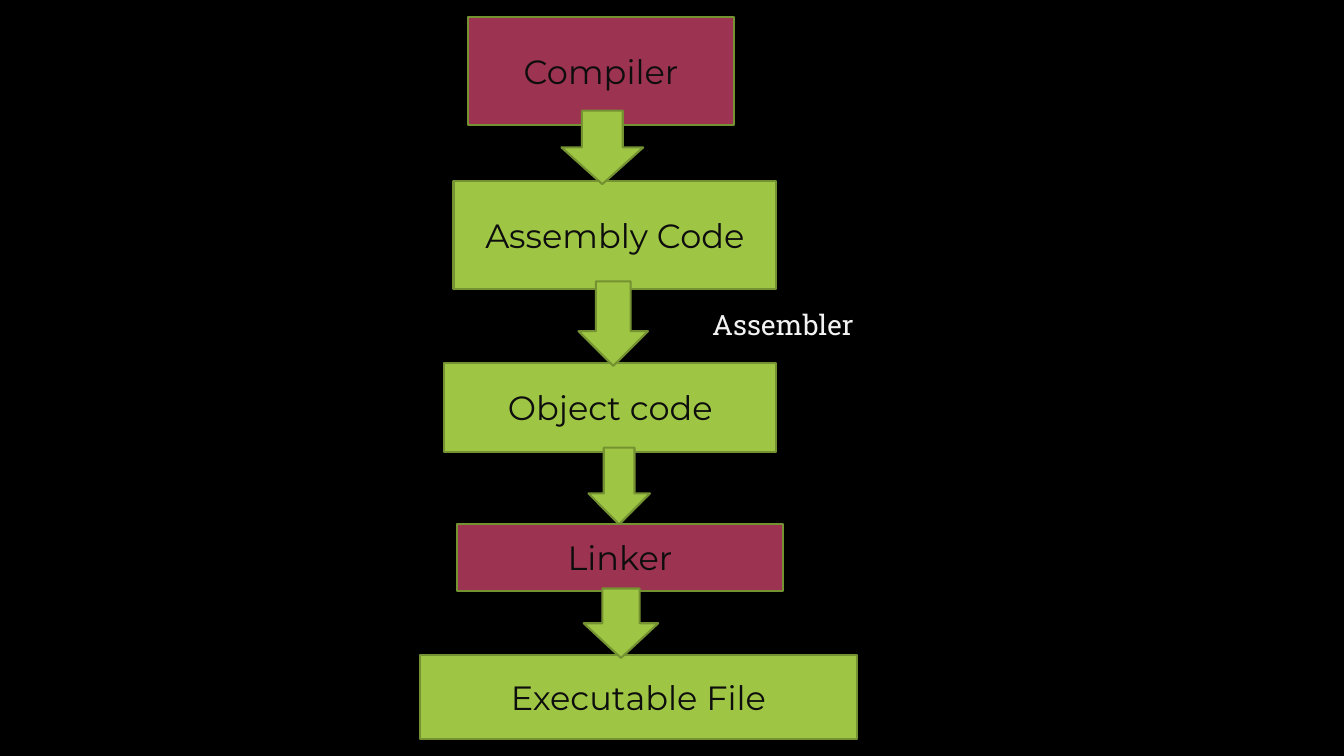
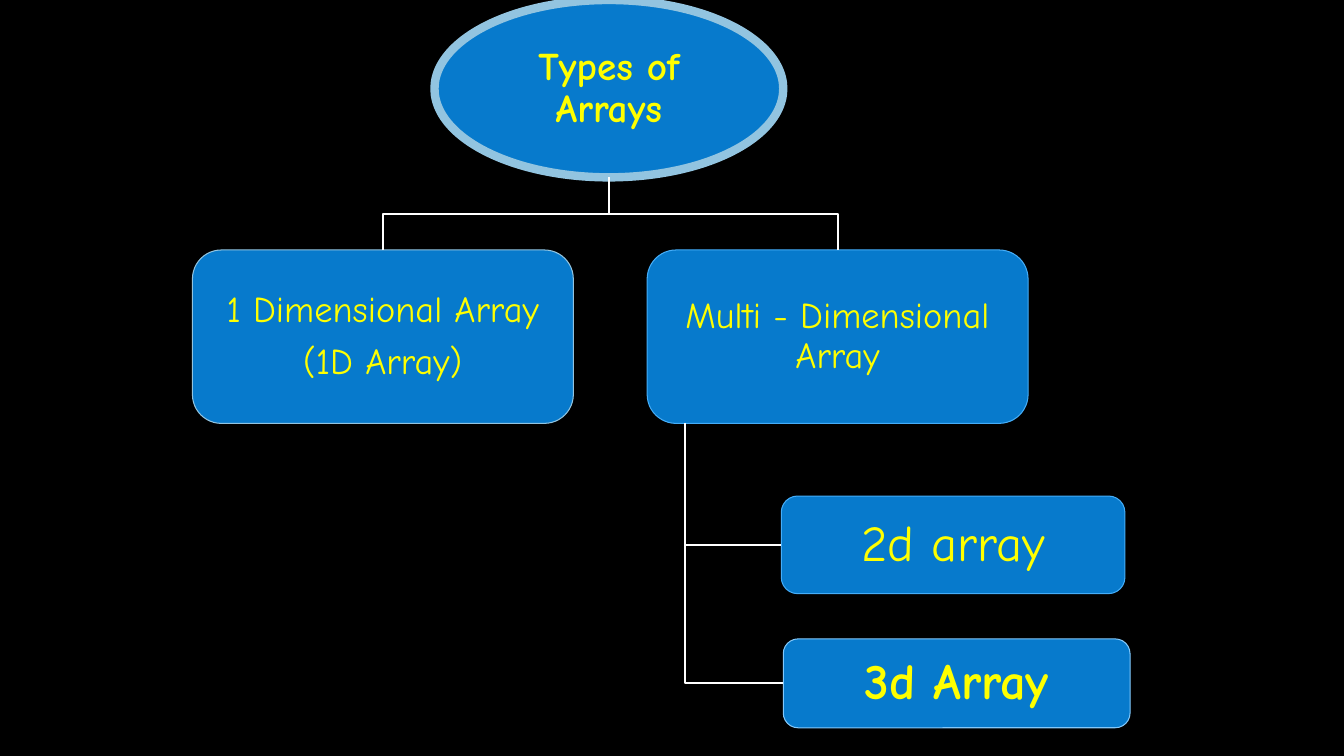
from pptx import Presentation
from pptx.dml.color import RGBColor
from pptx.enum import shapes, text
from pptx.util import Cm, Pt

BLACK = RGBColor(0x00, 0x00, 0x00)
WHITE = RGBColor(0xFF, 0xFF, 0xFF)
INK = RGBColor(0x0D, 0x0D, 0x0D)
PALE = RGBColor(0xF2, 0xF2, 0xF2)
GREEN = RGBColor(0x9E, 0xC5, 0x44)
DARK_GREEN = RGBColor(0x75, 0x92, 0x32)
CRIMSON = RGBColor(0x9C, 0x33, 0x51)
BLUE = RGBColor(0x07, 0x7A, 0xCC)
MIST = RGBColor(0x92, 0xC4, 0xE0)
AZURE = RGBColor(0x45, 0xAD, 0xF8)
SKY = RGBColor(0x82, 0xC8, 0xFB)
YELLOW = RGBColor(0xFF, 0xFF, 0x00)

KINDS = shapes.MSO_SHAPE


def add_box(page, kind, frame, fill, edge, edge_width):
    """Add a flat, outlined shape; frame is left, top, width, height in cm."""
    box = page.shapes.add_shape(kind, *map(Cm, frame))
    box.shadow.inherit = False
    box.fill.solid()
    box.fill.fore_color.rgb = fill
    box.line.color.rgb = edge
    box.line.width = Pt(edge_width)
    return box


def write_centred(box, words, font_name, size, colour, bold=False):
    """Fill the box with centred text, one paragraph for each line of words."""
    frame = box.text_frame
    frame.word_wrap = True
    frame.vertical_anchor = text.MSO_ANCHOR.MIDDLE
    frame.text = words
    for para in frame.paragraphs:
        para.alignment = text.PP_ALIGN.CENTER
        para.font.name = font_name
        para.font.size = Pt(size)
        para.font.bold = bold
        para.font.color.rgb = colour


deck = Presentation()
deck.slide_width, deck.slide_height = Cm(33.87), Cm(19.05)
pages = [deck.slides.add_slide(deck.slide_layouts[6]) for _ in range(2)]
for page in pages:
    page.background.fill.solid()
    page.background.fill.fore_color.rgb = BLACK
build_page, arrays_page = pages

# From compiler to executable file
stages = [
    ("Compiler", (11.79, 0.43, 6.71, 2.72), CRIMSON),
    ("Assembly Code", (11.43, 4.57, 8.13, 2.72), GREEN),
    ("Object code", (11.2, 9.14, 8.36, 2.26), GREEN),
    ("Linker", (11.51, 13.21, 8.23, 1.68), CRIMSON),
    ("Executable File", (10.59, 16.51, 11, 2.11), GREEN),
]
for words, frame, fill in stages:
    box = add_box(build_page, KINDS.RECTANGLE, frame, fill, DARK_GREEN, 1.5)
    write_centred(box, words, "Montserrat", 24, INK)

arrow_frames = [
    (14.15, 2.79, 2.06, 1.85),
    (14.58, 7.09, 1.75, 2.13),
    (14.83, 11.28, 1.55, 1.93),
    (14.71, 14.83, 1.88, 1.75),
]
for frame in arrow_frames:
    add_box(build_page, KINDS.DOWN_ARROW, frame, GREEN, DARK_GREEN, 1.5)

label = build_page.shapes.add_textbox(Cm(17.7), Cm(7.62), Cm(4.17), Cm(1.12))
label.text_frame.word_wrap = True
para = label.text_frame.paragraphs[0]
para.text = "Assembler"
para.font.name = "Roboto Slab"
para.font.size = Pt(20)
para.font.color.rgb = PALE

# Tree of array types
nodes = [
    ("Types of Arrays", KINDS.OVAL, (10.95, 0, 8.79, 4.47), MIST, 6, 28, True),
    ("1 Dimensional Array\n(1D Array)", KINDS.ROUNDED_RECTANGLE,
     (4.85, 6.3, 9.6, 4.37), MIST, 0.75, 26, False),
    ("Multi - Dimensional Array", KINDS.ROUNDED_RECTANGLE,
     (16.31, 6.3, 9.6, 4.37), AZURE, 0.75, 26, False),
    ("2d array", KINDS.ROUNDED_RECTANGLE,
     (19.69, 12.5, 8.66, 2.46), AZURE, 0.75, 36, False),
    ("3d Array", KINDS.ROUNDED_RECTANGLE,
     (19.74, 16.1, 8.74, 2.24), SKY, 0.75, 36, True),
]
boxes = []
for words, kind, frame, edge, edge_width, size, bold in nodes:
    box = add_box(arrays_page, kind, frame, BLUE, edge, edge_width)
    write_centred(box, words, "Comic Neue", size, YELLOW, bold)
    body = box.text_frame
    body.margin_left = body.margin_right = Cm(0.06)
    body.margin_top = body.margin_bottom = Cm(0.06)
    for para in body.paragraphs:
        para.line_spacing = 0.9
    for para in body.paragraphs[:-1]:
        para.space_after = Pt(0.35 * size)
    boxes.append(box)
root, single, multi, *leaves = boxes

# Branches fork halfway below the root; leaves hang from a trunk
# one tenth of the way along the multi-dimensional box.
routes = []
root_x, root_bottom = root.left + root.width // 2, root.top + root.height
for child in (single, multi):
    child_x, fork_y = child.left + child.width // 2, (root_bottom + child.top) // 2
    routes.append([(root_x, root_bottom), (root_x, fork_y),
                   (child_x, fork_y), (child_x, child.top)])
trunk_x, trunk_top = multi.left + multi.width // 10, multi.top + multi.height
for leaf in leaves:
    leaf_y = leaf.top + leaf.height // 2
    routes.append([(trunk_x, trunk_top), (trunk_x, leaf_y), (leaf.left, leaf_y)])

for start, *corners in routes:
    builder = arrays_page.shapes.build_freeform(*start)
    builder.add_line_segments(corners, close=False)
    branch = builder.convert_to_shape()
    branch.shadow.inherit = False
    branch.fill.background()
    branch.line.color.rgb = WHITE
    branch.line.width = Pt(1.5)

deck.save("out.pptx")
